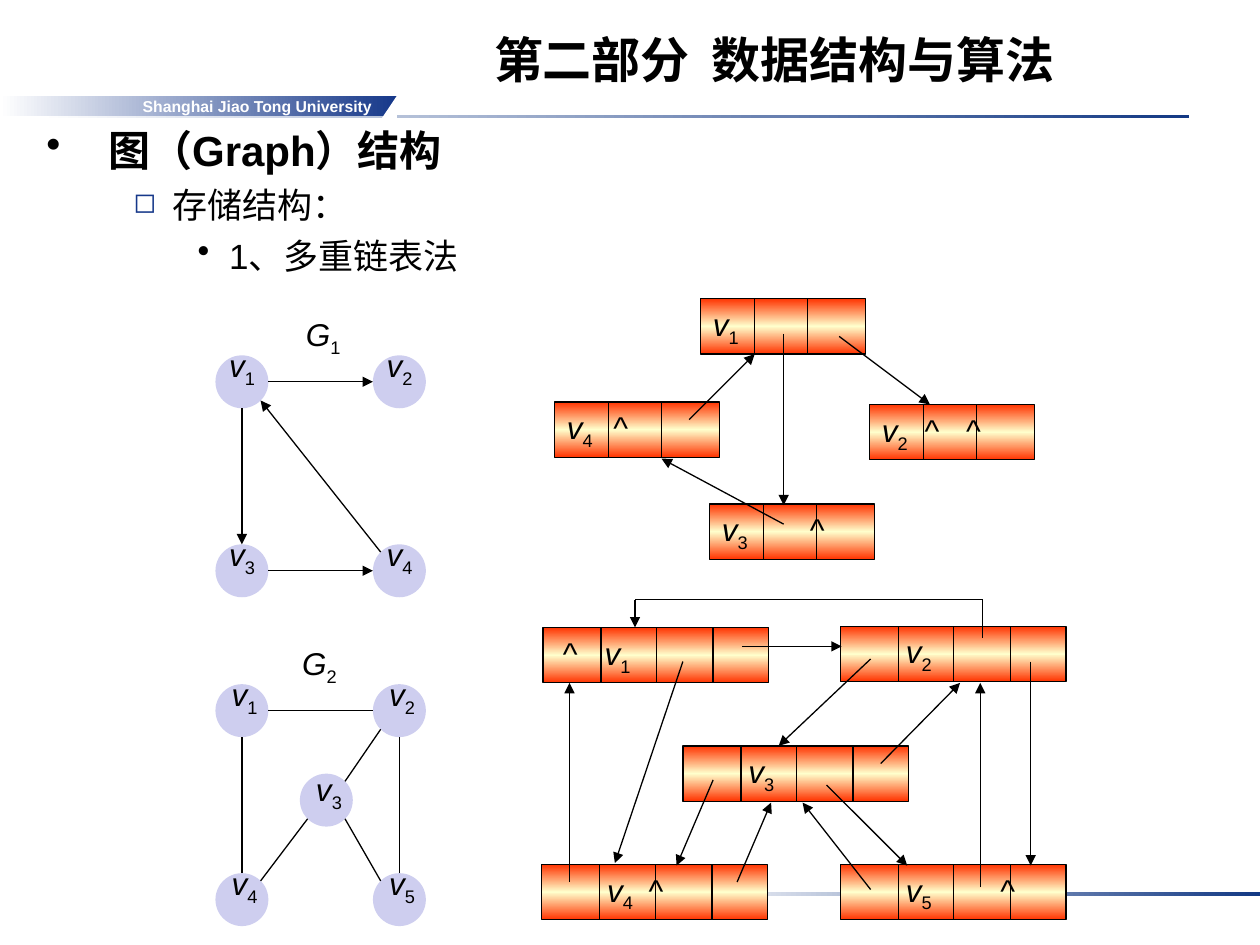
import math
from itertools import groupby

from lxml import etree
from pptx import Presentation
from pptx import util as u
from pptx.dml.color import RGBColor
from pptx.enum import shapes, text
from pptx.oxml.ns import qn

I = u.Inches
SHAPE = shapes.MSO_SHAPE
ALIGN = text.PP_ALIGN
ANCHOR = text.MSO_ANCHOR
FIT = text.MSO_AUTO_SIZE


def rgb(value):
    return RGBColor.from_string(value)


def assign(obj, values):
    for name, value in values.items():
        setattr(obj, name, value)


def add(parent, tag, **attrs):
    return etree.SubElement(parent, qn(tag), attrs)


class Deck:
    font = "Arial"
    ink = "000000"
    node_fill = "CECEEF"
    record_stops = [(0, "FF3300"), (50, "FFFFCC"), (100, "FF3300")]
    line_width = u.Pt(0.75)
    node_size = 0.42
    record_height = 0.44
    dividers = {3: (0.43, 0.85), 4: (0.46, 0.9, 1.35)}
    record_width = {3: 1.31, 4: 1.79}

    def __init__(self, width, height):
        self.prs = Presentation()
        assign(self.prs, {"slide_width": I(width), "slide_height": I(height)})
        self.s = self.prs.slides.add_slide(self.prs.slide_layouts[5])

    def run(self, p, words, size, color=None, **style):
        r = p.add_run()
        r.text = words
        assign(r.font, {"name": self.font, "size": u.Pt(size), **style})
        r.font.color.rgb = rgb(color or self.ink)
        return r

    def symbols(self, p, words):
        kinds = groupby(words, lambda ch: (ch.isalpha(), ch.isdigit()))
        for (is_name, is_index), chars in kinds:
            r = self.run(p, "".join(chars), 18, italic=is_name)
            if is_index:
                r.font._element.set("baseline", "-25000")

    def title(self, words, x, y, w, h):
        sp = self.s.shapes.title
        assign(sp, {"left": I(x), "top": I(y), "width": I(w), "height": I(h)})
        tf = sp.text_frame
        assign(tf, {"vertical_anchor": ANCHOR.BOTTOM, "auto_size": FIT.NONE,
                    "word_wrap": True})
        p = tf.paragraphs[0]
        p.alignment = ALIGN.CENTER
        self.run(p, words, 28, bold=True)

    def outline(self, items, x, y, w, h):
        tf = self.s.shapes.add_textbox(I(x), I(y), I(w), I(h)).text_frame
        tf.word_wrap = True
        for i, (words, size, bold, left, hang, mark, color, scale) in enumerate(items):
            p = tf.paragraphs[0] if i == 0 else tf.add_paragraph()
            pPr = p._p.get_or_add_pPr()
            pPr.set("marL", str(I(left)))
            pPr.set("indent", str(-I(hang)))
            add(add(pPr, "a:buClr"), "a:srgbClr", val=color)
            add(pPr, "a:buSzPct", val=str(scale * 1000))
            add(pPr, "a:buChar", char=mark)
            if i:
                p.level = i
                p.space_before = u.Pt(5)
            self.run(p, words, size, bold=bold)

    def shape(self, kind, x, y, w, h, fill=None, stops=None, angle=0, outlined=False):
        sp = self.s.shapes.add_shape(kind, I(x), I(y), I(w), I(h))
        sp.shadow.inherit = False
        if stops:
            sp.fill.gradient()
            sp.fill.gradient_angle = angle
            gs_list = sp._element.spPr.find(qn("a:gradFill")).find(qn("a:gsLst"))
            for gs in list(gs_list):
                gs_list.remove(gs)
            for pos, color in stops:
                add(add(gs_list, "a:gs", pos=str(pos * 1000)), "a:srgbClr", val=color)
        else:
            sp.fill.solid()
            sp.fill.fore_color.rgb = rgb(fill)
        if outlined:
            sp.line.color.rgb = rgb(self.ink)
            sp.line.width = self.line_width
        else:
            sp.line.fill.background()
        return sp

    def bar(self, x, y, w, h, end):
        return self.shape(SHAPE.RECTANGLE, x, y, w, h, stops=[(0, "FFFFFF"), (100, end)])

    def banner(self, words):
        tf = self.bar(0, 0.76, 3.15, 0.16, "16388A").text_frame
        assign(tf, {"word_wrap": False, "margin_right": I(0.2),
                    "vertical_anchor": ANCHOR.MIDDLE})
        tf.paragraphs[0].alignment = ALIGN.RIGHT
        self.run(tf.paragraphs[0], words, 9, "FFFFFF", bold=True)
        notch = self.shape(SHAPE.RIGHT_TRIANGLE, 3.03, 0.76, 0.12, 0.18, "FFFFFF")
        notch._element.spPr.find(qn("a:xfrm")).set("flipH", "1")

    def line(self, x1, y1, x2, y2, arrow=False):
        c = self.s.shapes.add_connector(
            shapes.MSO_CONNECTOR.STRAIGHT, I(x1), I(y1), I(x2), I(y2))
        c.line.color.rgb = rgb(self.ink)
        c.line.width = self.line_width
        if arrow:
            add(c.line._get_or_add_ln(), "a:tailEnd", type="triangle")
        add(c._element.spPr, "a:effectLst")
        return c

    def record(self, cells, x, y, words, tabs=()):
        sp = self.shape(SHAPE.RECTANGLE, x, y, self.record_width[cells],
                        self.record_height, stops=self.record_stops,
                        angle=90, outlined=True)
        tf = sp.text_frame
        assign(tf, {"word_wrap": True, "vertical_anchor": ANCHOR.MIDDLE})
        p = tf.paragraphs[0]
        p.alignment = ALIGN.LEFT
        if tabs:
            tab_list = add(p._p.get_or_add_pPr(), "a:tabLst")
            for pos in tabs:
                add(tab_list, "a:tab", pos=str(I(pos)), algn="l")
        self.symbols(p, words)
        for dx in self.dividers[cells]:
            self.line(x + dx, y, x + dx, y + self.record_height)

    def label(self, words, x, y, w=0.44):
        tf = self.s.shapes.add_textbox(I(x), I(y), I(w), I(0.44)).text_frame
        assign(tf, {"word_wrap": False, "auto_size": FIT.SHAPE_TO_FIT_TEXT})
        self.symbols(tf.paragraphs[0], words)

    def site(self, x, y, index):
        radius, angle = self.node_size / 2, math.radians(45 * index)
        return (x + radius - radius * math.sin(angle),
                y + radius - radius * math.cos(angle))

    def graph(self, name, name_x, name_y, nodes, edges, shift, arrow):
        ovals = {}
        for key, (x, y, rise) in nodes.items():
            ovals[key] = self.shape(SHAPE.OVAL, x, y, self.node_size,
                                    self.node_size, self.node_fill)
            self.label(key, x + shift, y - rise)
        for start, i, end, j in edges:
            c = self.line(*self.site(*nodes[start][:2], i),
                          *self.site(*nodes[end][:2], j), arrow)
            props = c._element.find(qn("p:nvCxnSpPr")).find(qn("p:cNvCxnSpPr"))
            for tag, key, index in (("a:stCxn", start, i), ("a:endCxn", end, j)):
                add(props, tag, id=str(ovals[key].shape_id), idx=str(index))
        self.label(name, name_x, name_y, 0.51)


def main():
    d = Deck(10, 7.5)
    d.bar(0.31, 0.91, 9.13, 0.03, "133984")
    d.bar(5.28, 7.08, 4.72, 0.03, "133984")
    d.banner("Shanghai Jiao Tong University")
    d.title("第二部分  数据结构与算法", 2.59, 0, 7.11, 0.75)
    d.outline([("图（Graph）结构", 24, True, 0.49, 0.49, "•", "000000", 100),
               ("存储结构：", 20, False, 1, 0.31, "◻", "16388A", 80),
               ("1、多重链表法", 20, False, 1.45, 0.25, "•", "000000", 100)],
              0.27, 0.94, 9.25, 1.38)

    for rec in [(3, 5.56, 2.37, "v1"),
                (3, 6.9, 3.21, "v2\t^\t^", (0.34, 0.67)),
                (3, 4.4, 3.19, "v4\t^", (0.37,)),
                (3, 5.63, 4, "v3\t^", (0.7,)),
                (4, 4.31, 4.98, "\t^\tv1", (0.06, 0.39)),
                (4, 6.67, 4.97, "\tv2", (0.42,)),
                (4, 4.3, 6.86, "\tv4\t^", (0.42, 0.75)),
                (4, 6.67, 6.86, "\tv5\t^", (0.42, 1.17)),
                (4, 5.42, 5.92, "\tv3", (0.42,))]:
        d.record(*rec)

    for pointer in [(6.66, 2.67, 7.38, 3.21), (5.47, 3.33, 5.99, 2.81),
                    (6.22, 2.65, 6.22, 4.01), (6.22, 4.16, 5.25, 3.64),
                    (5.42, 5.25, 4.88, 6.85), (5.89, 5.13, 6.68, 5.13),
                    (5.04, 4.76, 5.04, 4.98), (6.91, 5.23, 6.18, 5.92),
                    (8.18, 5.25, 8.18, 6.87), (6.99, 6.06, 7.62, 5.42),
                    (6.56, 6.23, 7.2, 6.87), (5.66, 6.19, 5.37, 6.87),
                    (4.52, 7, 4.52, 5.42), (5.85, 7, 6.12, 6.37),
                    (7.78, 7.04, 7.78, 5.42), (6.91, 7.06, 6.37, 6.37)]:
        d.line(*pointer, arrow=True)
    d.line(7.8, 5.06, 7.8, 4.76)
    d.line(7.8, 4.76, 5.04, 4.76)

    left, right = 1.71, 2.96
    d.graph("G1", 2.33, 2.45,
            {"v2": (right, 2.82, 0.12), "v1": (left, 2.82, 0.12),
             "v3": (left, 4.32, 0.12), "v4": (right, 4.32, 0.12)},
            [("v1", 6, "v2", 2), ("v1", 4, "v3", 0),
             ("v3", 6, "v4", 2), ("v4", 1, "v1", 5)], 0.01, True)
    d.graph("G2", 2.3, 5.06,
            {"v2": (right, 5.43, 0.12), "v1": (left, 5.43, 0.12),
             "v3": (2.38, 6.14, 0.08), "v4": (left, 6.93, 0.12),
             "v5": (right, 6.93, 0.12)},
            [("v1", 6, "v2", 2), ("v1", 4, "v4", 0), ("v4", 7, "v3", 3),
             ("v3", 7, "v2", 3), ("v5", 0, "v2", 4), ("v5", 1, "v3", 5)], 0.03, False)
    d.prs.save("out.pptx")


if __name__ == "__main__":
    main()
